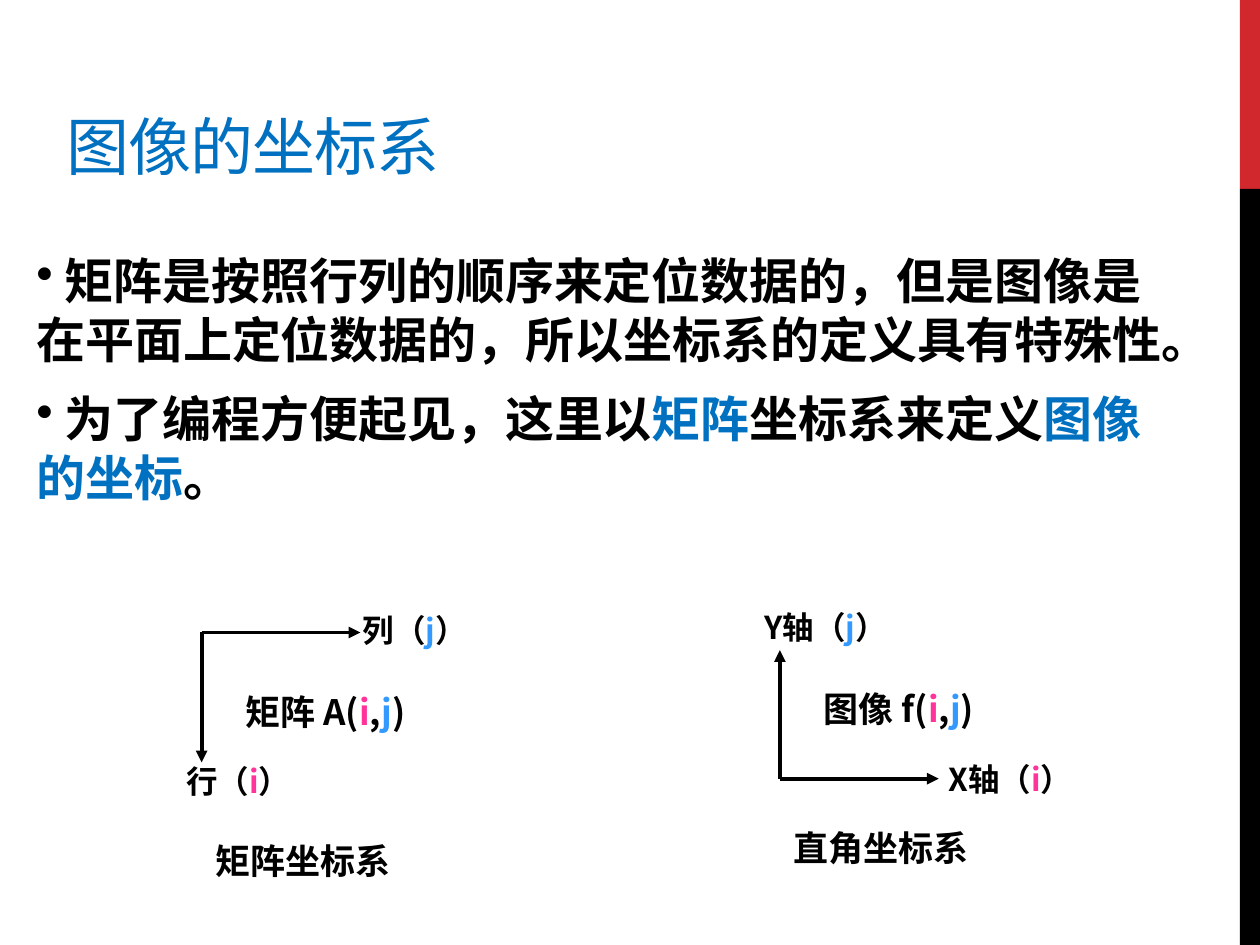
from lxml.etree import SubElement
from pptx import Presentation
from pptx.dml.color import RGBColor
from pptx.enum.shapes import MSO_CONNECTOR, MSO_SHAPE
from pptx.enum.text import MSO_ANCHOR
from pptx.oxml.ns import qn
from pptx.util import Inches, Pt

FONT = "Noto Sans CJK SC"
COLORS = {"black": "000000", "red": "D1282E", "blue": "0070C0",
          "i": "FF3399", "j": "3399FF"}

TITLE = "图像的坐标系"
BULLETS = [
    [(" 矩阵是按照行列的顺序来定位数据的，但是图像是在平面上定位数据的，"
      "所以坐标系的定义具有特殊性。", "black")],
    [(" 为了编程方便起见，这里以", "black"), ("矩阵", "blue"),
     ("坐标系来定义", "black"), ("图像的坐标", "blue"), ("。", "black")],
]
SIDE_BARS = [("red", 0, 1.5), ("black", 1.5, 6)]  # colour, top, height


def axis_label(name, index):
    return [(name + "（", "black"), (index, index), ("）", "black")]


def element_label(name):
    return [(name + "(", "black"), ("i", "i"), (",", "black"),
            ("j", "j"), (")", "black")]


# arrows: start, end; labels: left, top, width, size, runs
DIAGRAMS = [
    {"arrows": [((1.6, 5.02), (2.86, 5.02)), ((1.6, 5.02), (1.6, 6.05))],
     "labels": [(1.38, 6, 1.1, 18, axis_label("行", "i")),
                (2.78, 4.8, 1.1, 18, axis_label("列", "j")),
                (1.85, 5.43, 2.13, 20, element_label("矩阵 A")),
                (1.61, 6.61, 2.13, 20, [("矩阵坐标系", "black")])]},
    {"arrows": [((6.19, 6.18), (7.45, 6.18)), ((6.19, 6.18), (6.19, 5.16))],
     "labels": [(7.43, 5.98, 1.42, 18, axis_label("X轴", "i")),
                (5.97, 4.78, 1.57, 18, axis_label("Y轴", "j")),
                (6.44, 5.41, 2.13, 20, element_label("图像 f")),
                (6.2, 6.51, 2.13, 20, [("直角坐标系", "black")])]},
]


def rgb(name):
    return RGBColor.from_string(COLORS[name])


def add_runs(p, runs, size, bold=True):
    for text, color in runs:
        r = p.add_run()
        r.text = text
        r.font.size = Pt(size)
        r.font.bold = bold
        r.font.color.rgb = rgb(color)
        r.font.name = FONT
        SubElement(r.font._element, qn("a:ea"), typeface=FONT)


def add_text_frame(shapes, left, top, width, height):
    box = shapes.add_textbox(Inches(left), Inches(top), Inches(width), Inches(height))
    box.text_frame.word_wrap = True
    return box.text_frame


def add_bar(shapes, color, top, height):
    s = shapes.add_shape(MSO_SHAPE.RECTANGLE, Inches(9.84), Inches(top),
                         Inches(0.16), Inches(height))
    s.shadow.inherit = False
    s.fill.solid()
    s.fill.fore_color.rgb = rgb(color)
    s.line.fill.background()


def add_title(shapes):
    tf = add_text_frame(shapes, 0.43, 0, 9.06, 1.5)
    tf.vertical_anchor = MSO_ANCHOR.BOTTOM
    p = tf.paragraphs[0]
    add_runs(p, [(TITLE, "blue")], 36, bold=False)
    p.runs[0].font._element.set("spc", "-60")


def add_bullets(shapes):
    tf = add_text_frame(shapes, 0.19, 1.94, 9.3, 2.65)
    for n, runs in enumerate(BULLETS):
        p = tf.add_paragraph() if n else tf.paragraphs[0]
        p.space_before = Pt(5.6 if n else 0)
        p.space_after = Pt(6)
        SubElement(p._p.get_or_add_pPr(), qn("a:buChar"), char="•")
        add_runs(p, runs, 28)


def add_arrow(shapes, start, end):
    c = shapes.add_connector(MSO_CONNECTOR.STRAIGHT,
                             *(Inches(v) for v in start + end))
    c.line.color.rgb = rgb("black")
    c.line.width = Pt(2.25)
    SubElement(c.line._get_or_add_ln(), qn("a:tailEnd"), type="triangle")
    SubElement(c._element.spPr, qn("a:effectLst"))


def add_diagram(slide, diagram):
    shapes = slide.shapes.add_group_shape().shapes
    for start, end in diagram["arrows"]:
        add_arrow(shapes, start, end)
    for left, top, width, size, runs in diagram["labels"]:
        tf = add_text_frame(shapes, left, top, width, 0.4 if size == 18 else 0.43)
        add_runs(tf.paragraphs[0], runs, size)


def main():
    prs = Presentation()
    prs.slide_width, prs.slide_height = Inches(10), Inches(7.5)
    slide = prs.slides.add_slide(prs.slide_layouts[6])
    for bar in SIDE_BARS:
        add_bar(slide.shapes, *bar)
    add_bullets(slide.shapes)
    for diagram in DIAGRAMS:
        add_diagram(slide, diagram)
    add_title(slide.shapes)
    prs.save("out.pptx")


if __name__ == "__main__":
    main()
